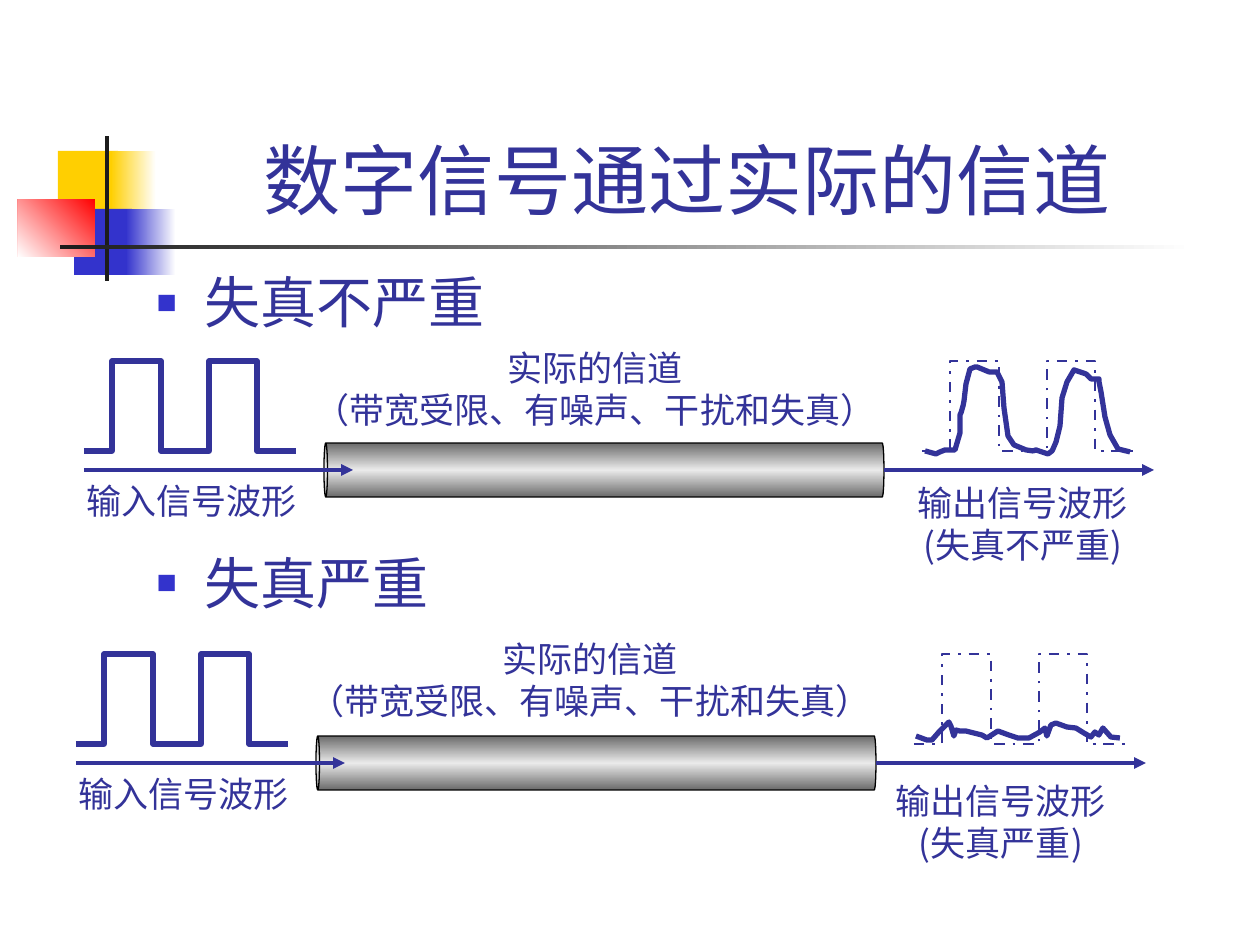
from lxml import etree
from pptx import Presentation
from pptx import util as u
from pptx.dml.color import RGBColor
from pptx.enum import dml, shapes, text
from pptx.oxml.ns import qn

PX = 914400 / 126
INDIGO = RGBColor(0x33, 0x33, 0x99)
BLUE = RGBColor(0x33, 0x33, 0xCC)
YELLOW = RGBColor(0xFF, 0xCF, 0x01)
RED = RGBColor(0xFF, 0, 0)
INK = RGBColor(0x1C, 0x1C, 0x1C)
WHITE = RGBColor(0xFF, 0xFF, 0xFF)
BLACK = RGBColor(0, 0, 0)
STEEL = RGBColor(0x6B, 0x6B, 0x6B)
SHINE = RGBColor(0xEA, 0xEA, 0xEA)

TITLE = "数字信号通过实际的信道 "
BULLETS = ["失真不严重", "失真严重"]
INPUT_LABEL = ["输入信号波形"]
CHANNEL_LABEL = ["实际的信道", "（带宽受限、有噪声、干扰和失真）"]

# box, gradient stops or one colour, angle
ORNAMENTS = [
    ((58, 151, 60, 66), [YELLOW], 0),
    ((111, 151, 45, 66), [WHITE, YELLOW], 180),
    ((74, 209, 58, 66), [BLUE], 0),
    ((126, 209, 50, 66), [WHITE, BLUE], 180),
    ((18, 199, 77, 58), [RED, WHITE], 135),
    ((105, 136, 4, 145), [INK], 0),
    ((60, 245, 1134, 4), [WHITE, INK], 180),
]

SQUARE_STEPS = [28, 77, 125, 173]
SQUARE_WIDTH, SQUARE_HEIGHT = 212, 90

MILD_WAVE = [
    (925, 451), (936, 454), (940, 452), (945, 450), (955, 450), (960, 433),
    (960, 415), (961, 413), (963, 406), (964, 401), (966, 384), (970, 369),
    (975, 367), (977, 367), (989, 372), (997, 372), (1002, 382), (1004, 408),
    (1008, 436), (1014, 445), (1026, 450), (1033, 451), (1036, 450),
    (1048, 454), (1052, 451), (1053, 449), (1056, 442), (1060, 426),
    (1062, 398), (1067, 382), (1074, 370), (1086, 374), (1091, 379),
    (1099, 379), (1099, 382), (1101, 392), (1105, 417), (1110, 435),
    (1118, 449), (1130, 452),
]
SEVERE_WAVE = [
    (916, 736), (927, 740), (932, 740), (939, 732), (949, 722), (951, 726),
    (954, 736), (956, 730), (960, 731), (966, 731), (982, 735), (987, 738),
    (998, 731), (1009, 735), (1018, 738), (1029, 738), (1040, 732),
    (1045, 728), (1047, 736), (1051, 725), (1056, 723), (1067, 727),
    (1076, 728), (1084, 733), (1091, 737), (1095, 732), (1099, 735),
    (1103, 728), (1111, 737), (1120, 738),
]

ROWS = [
    {"shift": (0, 0), "wave": MILD_WAVE, "channel_at": (302, 340),
     "output": ["输出信号波形", "(失真不严重)"], "output_at": (891, 475)},
    {"shift": (-8, 293), "wave": SEVERE_WAVE, "channel_at": (297, 631),
     "output": ["输出信号波形", "(失真严重)"], "output_at": (869, 773)},
]


def px(*lengths):
    return [u.Emu(round(n * PX)) for n in lengths]


def place(shape, *box):
    shape.left, shape.top, shape.width, shape.height = px(*box)


def write(frame, lines, *, size, font, align=None, spacing=None, wrap=False):
    frame.word_wrap = wrap
    frame.auto_size = text.MSO_AUTO_SIZE.NONE
    for i, line in enumerate(lines):
        para = frame.paragraphs[0] if i == 0 else frame.add_paragraph()
        para.alignment = align
        para.line_spacing = spacing
        para.space_before = u.Pt(0)
        run = para.add_run()
        run.text = line
        run.font.size, run.font.name = u.Pt(size), font
        run.font.color.rgb = INDIGO


def label(slide, lines, box, *, font="Noto Sans CJK SC",
          align=text.PP_ALIGN.CENTER):
    write(slide.shapes.add_textbox(*px(*box)).text_frame, lines,
          size=20, font=font, align=align)


def paint(shape, colours, angle, turns=True):
    """Fill with one colour, or with evenly spaced gradient stops."""
    shape.shadow.inherit = False
    if len(colours) == 1:
        shape.fill.solid()
        shape.fill.fore_color.rgb = colours[0]
        return
    shape.fill.gradient()
    shape.fill.gradient_angle = (360 - angle) % 360
    gradient = shape._element.spPr.find(qn("a:gradFill"))
    gradient.set("rotWithShape", str(int(turns)))
    stops = gradient.find(qn("a:gsLst"))
    for stop in list(stops):
        stops.remove(stop)
    for i, colour in enumerate(colours):
        stop = etree.SubElement(stops, qn("a:gs"),
                                pos=str(100000 * i // (len(colours) - 1)))
        etree.SubElement(stop, qn("a:srgbClr"), val=str(colour))


def trace(slide, points, *, width, dash=None):
    builder = slide.shapes.build_freeform(*points[0], scale=PX)
    builder.add_line_segments(points[1:], close=False)
    line = builder.convert_to_shape()
    line.shadow.inherit = False
    line.fill.background()
    line.line.color.rgb, line.line.width = INDIGO, u.Pt(width)
    if dash:
        line.line.dash_style = dash


def square_wave(left, top):
    base = top + SQUARE_HEIGHT
    points, level = [(left, base)], base
    for step in SQUARE_STEPS:
        points.append((left + step, level))
        level = top if level == base else base
        points.append((left + step, level))
    return points + [(left + SQUARE_WIDTH, base)]


def arrow(slide, left, right, y):
    line = slide.shapes.add_connector(shapes.MSO_CONNECTOR.STRAIGHT,
                                      *px(left, y, right, y))
    line.line.color.rgb, line.line.width = INDIGO, u.Pt(2.25)
    etree.SubElement(line.line._get_or_add_ln(), qn("a:tailEnd"), type="triangle")
    etree.SubElement(line._element.spPr, qn("a:effectLst"))


def channel(slide, center_x, center_y, length=560, thickness=54):
    can = slide.shapes.add_shape(
        shapes.MSO_SHAPE.CAN,
        *px(center_x - thickness / 2, center_y - length / 2, thickness, length))
    can.rotation = 270
    can.adjustments[0] = 0.065
    paint(can, [STEEL, SHINE, STEEL], 270, turns=False)
    can.line.color.rgb, can.line.width = BLACK, u.Pt(0.75)


def add_bullet(para):
    props = para._p.get_or_add_pPr()
    props.set("marL", str(u.Inches(0.38)))
    props.set("indent", str(-u.Inches(0.38)))
    colour = etree.SubElement(props, qn("a:buClr"))
    etree.SubElement(colour, qn("a:srgbClr"), val=str(BLUE))
    etree.SubElement(props, qn("a:buSzPct"), val="60000")
    etree.SubElement(props, qn("a:buFont"), typeface="Arial")
    etree.SubElement(props, qn("a:buChar"), char="■")


def main():
    deck = Presentation()
    deck.slide_width, deck.slide_height = px(1260, 945)
    slide = deck.slides.add_slide(deck.slide_layouts[1])

    for box, colours, angle in ORNAMENTS:
        block = slide.shapes.add_shape(shapes.MSO_SHAPE.RECTANGLE, *px(*box))
        paint(block, colours, angle)
        block.line.fill.background()

    title, body = slide.shapes.title, slide.placeholders[1]
    place(title, 159, 29, 1074, 202)
    write(title.text_frame, [TITLE], size=44, font="Arial",
          align=text.PP_ALIGN.CENTER, wrap=True)
    title.text_frame.vertical_anchor = text.MSO_ANCHOR.BOTTOM
    place(body, 144, 255, 1071, 567)
    write(body.text_frame, BULLETS, size=32, font="Arial", spacing=1.1, wrap=True)
    for para in body.text_frame.paragraphs:
        add_bullet(para)
    body.text_frame.paragraphs[1].space_before = u.Pt(118)

    for row in ROWS:
        dx, dy = row["shift"]
        channel(slide, 604 + dx, 470 + dy)
        trace(slide, square_wave(84 + dx, 361 + dy), width=3)
        arrow(slide, 84 + dx, 353 + dx, 470 + dy)
        trace(slide, square_wave(922 + dx, 361 + dy), width=1.5,
              dash=dml.MSO_LINE.DASH_DOT)
        arrow(slide, 884 + dx, 1154 + dx, 470 + dy)
        trace(slide, row["wave"], width=3)
        label(slide, CHANNEL_LABEL, (*row["channel_at"], 586, 97),
              font="Times New Roman")
        label(slide, INPUT_LABEL, (74 + dx, 473 + dy, 236, 55),
              align=text.PP_ALIGN.LEFT)
        label(slide, row["output"], (*row["output_at"], 264, 97))

    deck.save("out.pptx")


if __name__ == "__main__":
    main()
